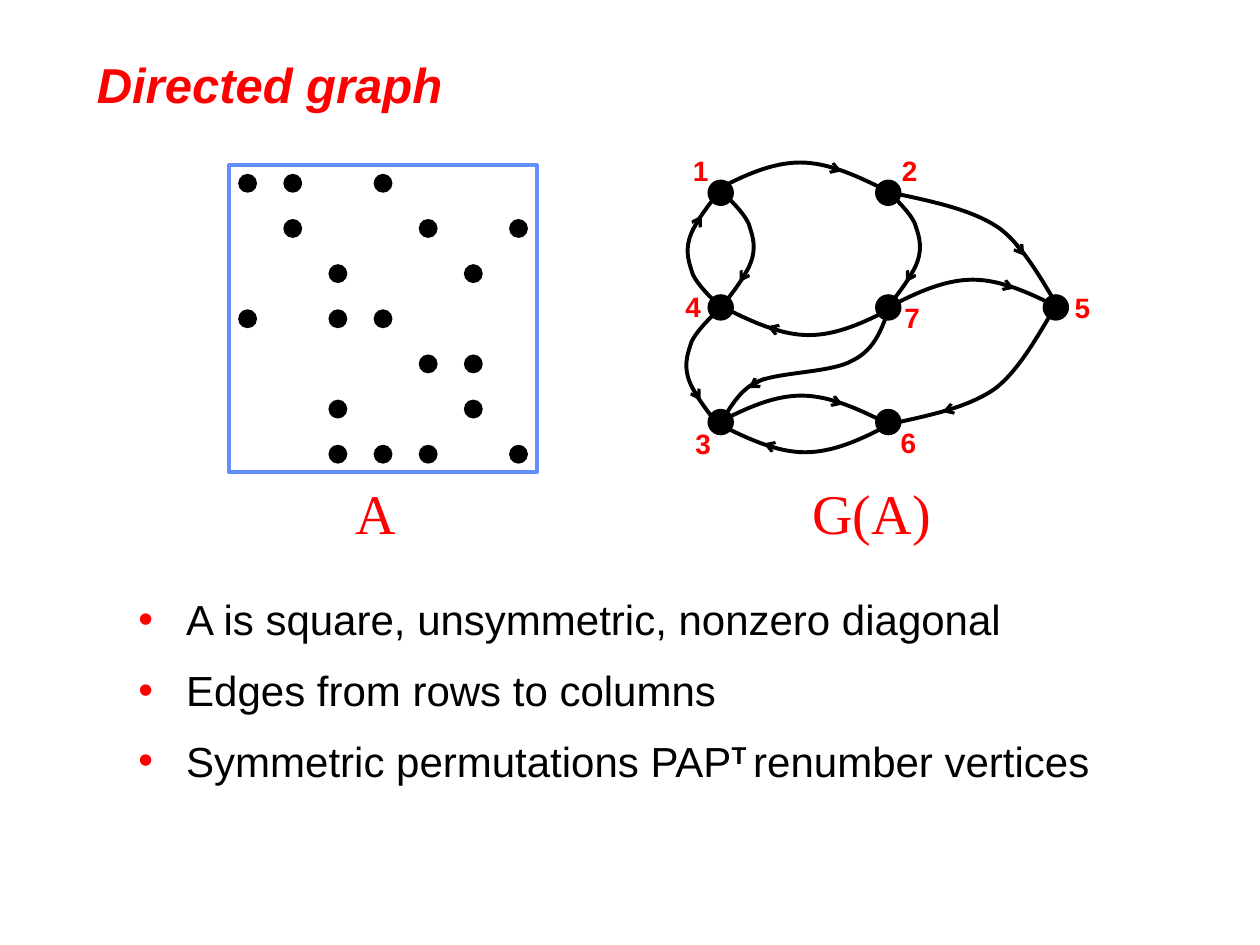
from lxml.etree import SubElement
from pptx import Presentation
from pptx.dml.color import RGBColor
from pptx.enum.shapes import MSO_CONNECTOR as CONNECTOR, MSO_SHAPE as SHAPE
from pptx.enum.text import MSO_ANCHOR as ANCHOR
from pptx.oxml.ns import qn
from pptx.util import Inches, Pt

RED, BLACK, BLUE = "FF0000", "000000", "618FFD"

NONZERO_COLUMNS = [(0, 1, 3), (1, 4, 6), (2, 5), (0, 2, 3), (4, 5), (2, 5), (2, 3, 4, 6)]

# Vertex: (grid column, grid row, label left, label top), labels relative to vertex 1
VERTICES = {
    "1": (0, 0, -0.32, -0.36), "2": (1, 0, 1.34, -0.36), "3": (0, 2, -0.30, 1.81),
    "4": (0, 1, -0.38, 0.72), "5": (2, 1, 2.71, 0.73), "6": (1, 2, 1.33, 1.80),
    "7": (1, 1, 1.36, 0.81),
}

# Bezier points relative to the start of each curve
ARCH = [(0, 0), (0.21, -0.11), (0.43, -0.21), (0.65, -0.21),
        (0.88, -0.21), (1.11, -0.1), (1.35, 0.02)]
BOW = [(0, 0), (0.08, 0.08), (0.16, 0.16), (0.2, 0.24), (0.23, 0.33),
       (0.26, 0.41), (0.23, 0.52), (0.2, 0.63), (0.1, 0.76), (0, 0.89)]
SWEEP = [(0, 0), (-0.08, 0.11), (-0.26, 0.48), (-0.48, 0.64),
         (-0.7, 0.79), (-1.01, 0.85), (-1.33, 0.92)]
WAVE = [(0, 0), (0.05, -0.04), (0.12, -0.23), (0.29, -0.31), (0.47, -0.39),
        (0.88, -0.38), (1.05, -0.48), (1.23, -0.57), (1.28, -0.74), (1.34, -0.9)]
ARCH_ARROW = [(0.84, -0.19), (0.98, -0.14)]
BOW_ARROW = [(0.21, 0.58), (0.13, 0.71)]

# Edge: (curve, arrow, start, horizontal sign, vertical sign)
EDGES = [
    (ARCH, ARCH_ARROW, (-0.02, -0.03), 1, 1),
    (ARCH, ARCH_ARROW, (1.35, 0.9), 1, 1),
    (ARCH, ARCH_ARROW, (-0.01, 1.82), 1, 1),
    (ARCH, ARCH_ARROW, (1.32, 1.85), -1, -1),
    (ARCH, ARCH_ARROW, (1.35, 0.92), -1, -1),
    (BOW, BOW_ARROW, (-0.02, 0.89), -1, -1),
    (BOW, BOW_ARROW, (-0.03, 0.94), -1, 1),
    (BOW, BOW_ARROW, (0.02, 0), 1, 1),
    (BOW, BOW_ARROW, (1.34, 0), 1, 1),
    (WAVE, [(0.35, -0.34), (0.22, -0.26)], (0, 1.81), 1, 1),
    (SWEEP, [(-0.74, 0.77), (-0.89, 0.82)], (2.65, 0.92), 1, 1),
    (SWEEP, [(-0.37, 0.54), (-0.28, 0.42)], (2.69, 0.92), 1, -1),
]


def color(hex_value):
    return RGBColor.from_string(hex_value)


def set_line(shape, hex_value, width):
    shape.line.color.rgb = color(hex_value)
    shape.line.width = Pt(width)


def add_run(paragraph, text, size, hex_value, font="Arial", bold=False, italic=False):
    run = paragraph.add_run()
    run.text = text
    run.font.name, run.font.size = font, Pt(size)
    run.font.bold, run.font.italic = bold, italic
    run.font.color.rgb = color(hex_value)
    return run


def add_text_box(shapes, left, top, width, height, wrap=False):
    box = shapes.add_textbox(Inches(left), Inches(top), Inches(width), Inches(height))
    box.text_frame.word_wrap = wrap
    return box.text_frame


def add_label(shapes, text, left, top, width, height, size, **style):
    frame = add_text_box(shapes, left, top, width, height)
    add_run(frame.paragraphs[0], text, size, RED, **style)


def add_dot(shapes, left, top, size):
    dot = shapes.add_shape(SHAPE.OVAL, Inches(left), Inches(top), Inches(size), Inches(size))
    dot.shadow.inherit = False
    dot.fill.solid()
    dot.fill.fore_color.rgb = color(BLACK)
    dot.line.fill.background()


def add_curve(shapes, points):
    """Draw a chain of cubic Bezier segments through start, control and end points."""
    start, *rest = [(Inches(x), Inches(y)) for x, y in points]
    builder = shapes.build_freeform(*start)
    builder.add_line_segments(rest, close=False)
    curve = builder.convert_to_shape()
    curve.shadow.inherit = False
    curve.fill.background()
    set_line(curve, BLACK, 2.25)
    outline = next(curve._element.iter(qn("a:path")))
    segments = outline.findall(qn("a:lnTo"))
    for index in range(0, len(segments), 3):
        bezier = SubElement(outline, qn("a:cubicBezTo"))
        for segment in segments[index:index + 3]:
            bezier.append(segment[0])
            outline.remove(segment)


def add_arrow(shapes, start, end):
    arrow = shapes.add_connector(CONNECTOR.STRAIGHT, *map(Inches, (*start, *end)))
    set_line(arrow, BLACK, 1.75)
    SubElement(arrow.line._get_or_add_ln(), qn("a:tailEnd"), type="arrow")
    SubElement(arrow._element.spPr, qn("a:effectLst"))


def add_title(slide, left, top, width, height):
    frame = add_text_box(slide.shapes, left, top, width, height, wrap=True)
    frame.vertical_anchor = ANCHOR.MIDDLE
    add_run(frame.paragraphs[0], "Directed graph", 28, RED, bold=True, italic=True)


def add_matrix(slide, left, top, size):
    shapes = slide.shapes.add_group_shape().shapes
    frame = shapes.add_shape(SHAPE.RECTANGLE, *map(Inches, (left, top, size, size)))
    frame.shadow.inherit = False
    frame.fill.background()
    set_line(frame, BLUE, 2.25)
    dot_size, margin = 0.15, 0.07
    pitch = (size - 2 * margin - dot_size) / (len(NONZERO_COLUMNS) - 1)
    for row, columns in enumerate(NONZERO_COLUMNS):
        for column in columns:
            add_dot(shapes, left + margin + column * pitch, top + margin + row * pitch, dot_size)


def add_graph(slide, left, top, column_pitch, row_pitch):
    """Draw the graph with vertex 1 centred on (left, top)."""
    shapes = slide.shapes.add_group_shape().shapes
    dot_size = 0.21
    for curve, arrow, (start_x, start_y), sign_x, sign_y in EDGES:
        curve_points, arrow_points = [
            [(left + start_x + sign_x * x, top + start_y + sign_y * y) for x, y in points]
            for points in (curve, arrow)
        ]
        add_arrow(shapes, *arrow_points)
        add_curve(shapes, curve_points)
    for name, (column, row, label_x, label_y) in VERTICES.items():
        add_dot(shapes, left + column * column_pitch - dot_size / 2,
                top + row * row_pitch - dot_size / 2, dot_size)
        add_label(shapes, name, left + label_x, top + label_y, 0.32, 0.37, 16, bold=True)


def add_bullets(slide, left, top, width, height):
    frame = add_text_box(slide.shapes, left, top, width, height, wrap=True)
    items = [
        ["A is square, unsymmetric, nonzero diagonal"],
        ["Edges from rows to columns"],
        ["Symmetric permutations PAP", "T ", "renumber vertices"],
    ]
    for index, texts in enumerate(items):
        paragraph = frame.add_paragraph() if index else frame.paragraphs[0]
        paragraph.line_spacing = 1.2
        if index:
            paragraph.space_before = Pt(6)
        properties = paragraph._p.get_or_add_pPr()
        properties.set("marL", str(Inches(0.38)))
        properties.set("indent", str(-Inches(0.38)))
        bullet_color = SubElement(properties, qn("a:buClr"))
        SubElement(bullet_color, qn("a:srgbClr"), val=RED)
        SubElement(properties, qn("a:buFont"), typeface="Arial")
        SubElement(properties, qn("a:buChar"), char="•")
        for text in texts:
            superscript = text == "T "
            run = add_run(paragraph, text, 24, BLACK, bold=superscript)
            if superscript:
                run.font._element.set("baseline", "30000")


def main():
    presentation = Presentation()
    presentation.slide_width, presentation.slide_height = Inches(10), Inches(7.5)
    slide = presentation.slides.add_slide(presentation.slide_layouts[6])
    add_title(slide, 0.67, 0.33, 8.19, 0.67)
    add_bullets(slide, 1, 4.58, 8, 2.08)
    add_matrix(slide, 1.82, 1.31, 2.44)
    add_graph(slide, 5.72, 1.53, 1.33, 0.91)
    add_label(slide.shapes, "A", 2.72, 3.75, 0.52, 0.64, 32, font="Times New Roman")
    add_label(slide.shapes, "G(A)", 6.35, 3.75, 1.25, 0.64, 32, font="Times New Roman")
    presentation.save("out.pptx")


if __name__ == "__main__":
    main()
